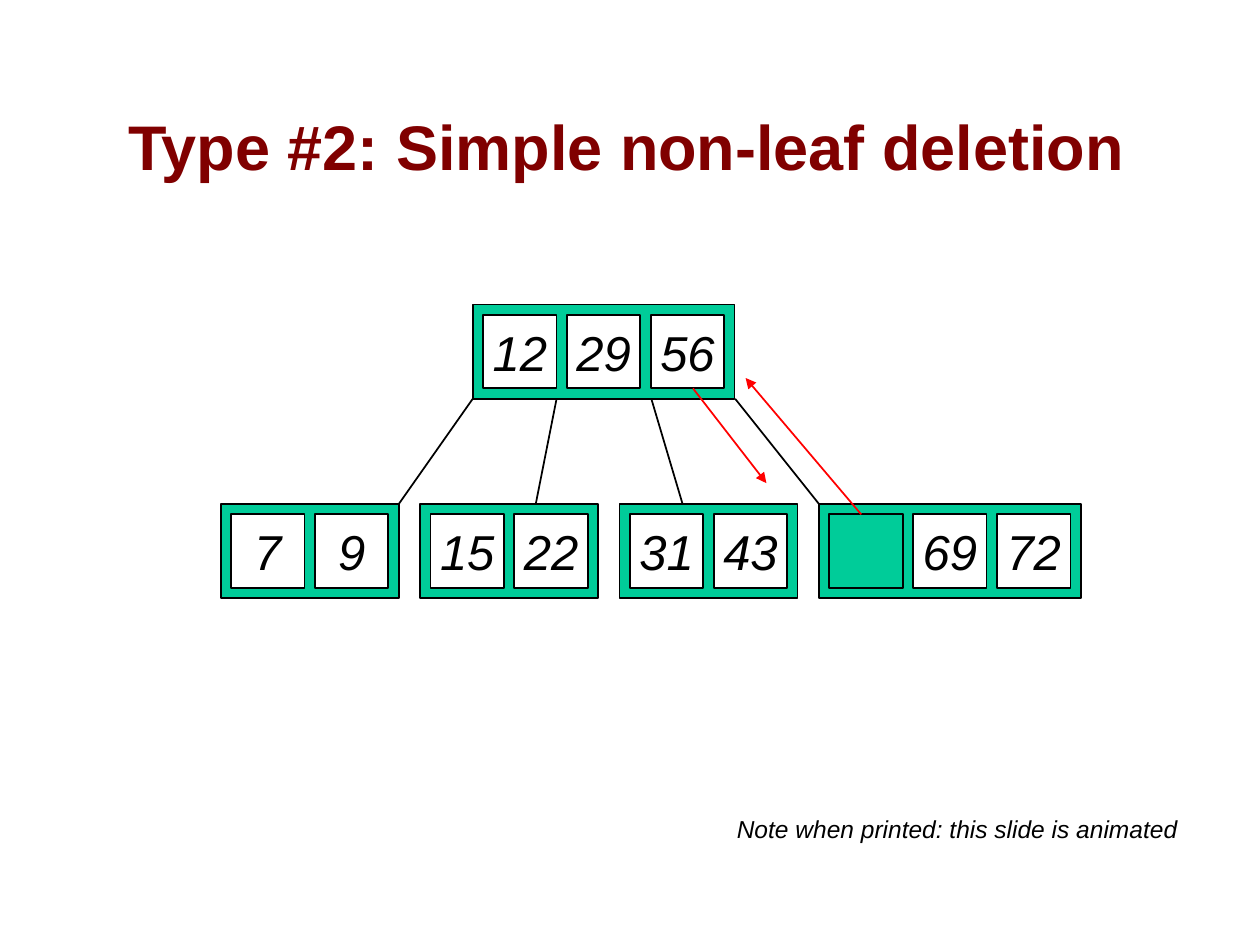
from lxml import etree
from pptx import Presentation
from pptx.dml.color import RGBColor
from pptx.enum.shapes import MSO_CONNECTOR, MSO_SHAPE
from pptx.enum.text import MSO_ANCHOR, PP_ALIGN
from pptx.oxml.ns import qn
from pptx.util import Cm, Pt

MAROON = RGBColor(0x80, 0x00, 0x00)
GREEN = RGBColor(0x00, 0xCC, 0x99)
RED = RGBColor(0xFF, 0x00, 0x00)
BLACK = RGBColor(0x00, 0x00, 0x00)
WHITE = RGBColor(0xFF, 0xFF, 0xFF)

KEY_SIZE = 1.48
PAD = 0.21
NODE_HEIGHT = KEY_SIZE + 2 * PAD
LEAF_GAP = 0.43
ROOT_TOP = 6.14
LEAF_TOP = 10.16

prs = Presentation()
prs.slide_width, prs.slide_height = Cm(25.4), Cm(19.05)
slide = prs.slides.add_slide(prs.slide_layouts[5])


def add_box(left, top, width, height, fill):
    box = slide.shapes.add_shape(
        MSO_SHAPE.RECTANGLE, Cm(left), Cm(top), Cm(width), Cm(height))
    box.shadow.inherit = False
    box.fill.solid()
    box.fill.fore_color.rgb = fill
    box.line.color.rgb = BLACK
    box.line.width = Pt(1)
    return box


def write(frame, text, size, color, anchor):
    frame.text = text
    frame.vertical_anchor = anchor
    paragraph = frame.paragraphs[0]
    paragraph.alignment = PP_ALIGN.CENTER
    font = paragraph.runs[0].font
    font.name = "Arial"
    font.size = Pt(size)
    font.color.rgb = color
    return font


heading = slide.shapes.title
heading.left, heading.top = Cm(1.12), Cm(0.64)
heading.width, heading.height = Cm(23.01), Cm(3.18)
write(heading.text_frame, "Type #2: Simple non-leaf deletion", 36, MAROON,
      MSO_ANCHOR.BOTTOM).bold = True

nodes = [(9.53, ROOT_TOP, ["12", "29", "56"])]
leaf_left = 4.45
for keys in (["7", "9"], ["15", "22"], ["31", "43"], ["", "69", "72"]):
    nodes.append((leaf_left, LEAF_TOP, keys))
    leaf_left += len(keys) * (KEY_SIZE + PAD) + PAD + LEAF_GAP

for left, top, keys in nodes:
    add_box(left, top, len(keys) * (KEY_SIZE + PAD) + PAD, NODE_HEIGHT, GREEN)
    for i, key in enumerate(keys):
        cell = add_box(left + PAD + i * (KEY_SIZE + PAD), top + PAD,
                       KEY_SIZE, KEY_SIZE, WHITE if key else GREEN)
        if key:
            cell.text_frame.word_wrap = False
            write(cell.text_frame, key, 28, BLACK, MSO_ANCHOR.MIDDLE).italic = True

root_bottom = ROOT_TOP + NODE_HEIGHT
branches = [(9.53, 8.04), (11.22, 10.8), (13.13, 13.76), (14.82, 16.51)]
lines = [(x1, root_bottom, x2, LEAF_TOP, BLACK) for x1, x2 in branches]
lines += [(13.97, 7.83, 15.45, 9.74, RED), (17.36, 10.37, 15.03, 7.62, RED)]

for x1, y1, x2, y2, color in lines:
    line = slide.shapes.add_connector(
        MSO_CONNECTOR.STRAIGHT, Cm(x1), Cm(y1), Cm(x2), Cm(y2))
    line.line.color.rgb = color
    line.line.width = Pt(1)
    properties = line._element.spPr
    if color == RED:
        etree.SubElement(properties.find(qn("a:ln")), qn("a:tailEnd"), type="triangle")
    etree.SubElement(properties, qn("a:effectLst"))

note = slide.shapes.add_textbox(Cm(14.6), Cm(16.28), Cm(9.4), Cm(0.86))
note.text_frame.word_wrap = False
write(note.text_frame, "Note when printed: this slide is animated", 14, BLACK,
      MSO_ANCHOR.MIDDLE).italic = True

prs.save("out.pptx")
